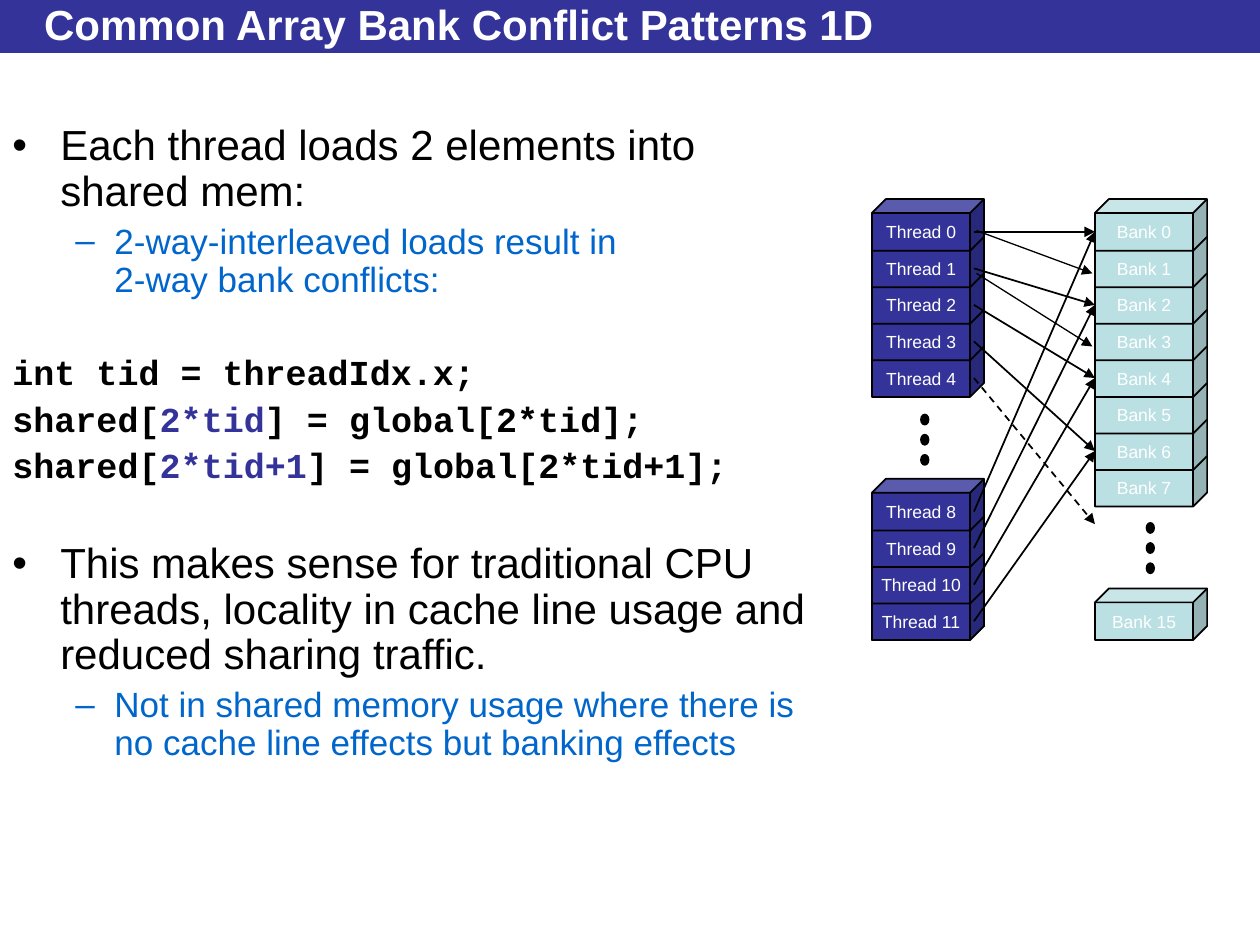
import pptx
import pptx.util
import pptx.dml.color
import pptx.enum.dml
import pptx.enum.shapes
import pptx.enum.text
import pptx.oxml
import pptx.oxml.ns

Inches = pptx.util.Inches
Pt = pptx.util.Pt
Shape = pptx.enum.shapes.MSO_SHAPE
Align = pptx.enum.text.PP_ALIGN
Middle = pptx.enum.text.MSO_ANCHOR.MIDDLE

NAVY, TEAL, BLUE = "333399", "BBE0E3", "0066CC"
BLACK, WHITE = "000000", "FFFFFF"
LEFT, RIGHT, TOP, LOW, STEP = 6.92, 8.69, 1.58, 3.8, 0.29

HEAD = {"size": Pt(24), "name": "Arial", "bold": True}
MAIN = {"size": Pt(24), "name": "Arial", "bold": False}
SUB = {"size": Pt(20), "name": "Arial", "bold": False}
CODE = {"size": Pt(20), "name": "Courier New", "bold": True}
LABEL = {"size": Pt(10), "name": "Arial", "bold": False}


def color(code):
    return pptx.dml.color.RGBColor.from_string(code)


def assign(item, values):
    for key, value in values.items():
        setattr(item, key, value)


def style(font, form, code):
    assign(font, form)
    font.color.rgb = color(code)


def node(tag, **values):
    item = pptx.oxml.parse_xml(f"<a:{tag} {pptx.oxml.ns.nsdecls('a')}/>")
    for key, value in values.items():
        item.set(key, str(value))
    return item


def solid(slide, kind, box, fill, line=None):
    shape = slide.shapes.add_shape(kind, *map(Inches, box))
    shape.shadow.inherit = False
    shape.fill.solid()
    shape.fill.fore_color.rgb = color(fill)
    if line:
        shape.line.color.rgb = color(line)
        shape.line.width = Pt(1)
    else:
        shape.line.fill.background()
    return shape


def cube(slide, left, top, text, fill):
    shape = solid(slide, Shape.CUBE, (left, top, 0.89, 0.41), fill, BLACK)
    shape.adjustments[0] = 0.27
    frame = shape.text_frame
    assign(frame, {"word_wrap": False, "vertical_anchor": Middle})
    para = frame.paragraphs[0]
    para.text = text
    para.alignment = Align.CENTER
    style(para.runs[0].font, LABEL, WHITE)


def stack(slide, left, top, word, first, last, fill):
    for num in range(last, first - 1, -1):
        cube(slide, left, top + STEP * (num - first), f"{word} {num}", fill)


def dots(slide, left, top):
    for num in range(3):
        box = (left, top + 0.16 * num, 0.06, 0.08)
        solid(slide, Shape.OVAL, box, BLACK, BLACK)


def arrow(slide, start, end, width=1, dash=False):
    line = slide.shapes.add_connector(
        pptx.enum.shapes.MSO_CONNECTOR.STRAIGHT, *map(Inches, start + end))
    line.line.color.rgb = color(BLACK)
    line.line.width = Pt(width)
    if dash:
        line.line.dash_style = pptx.enum.dml.MSO_LINE.DASH
    props = line._element.spPr
    props.find(pptx.oxml.ns.qn("a:ln")).append(node("tailEnd", type="triangle"))
    props.append(node("effectLst"))


def link(slide, top, num, bank, dash=False):
    start = (7.73, top + STEP * num + 0.26)
    end = (RIGHT, TOP + STEP * bank + 0.26)
    arrow(slide, start, end, dash=dash)


def bullet(para, mark, code, margin, hang):
    props = para._p.get_or_add_pPr()
    props.set("marL", str(Inches(margin)))
    props.set("indent", str(-Inches(hang)))
    if mark:
        tint = node("buClr")
        tint.append(node("srgbClr", val=code))
        props.append(tint)
        props.append(node("buFont", typeface="Arial"))
        props.append(node("buChar", char=mark))
    else:
        props.append(node("buNone"))


def write(para, parts, form):
    for text, code in parts:
        for num, piece in enumerate(text.split("\n")):
            if num:
                para.add_line_break()
            run = para.add_run()
            run.text = piece
            style(run.font, form, code)


def title(slide, text):
    band = solid(slide, Shape.RECTANGLE, (0, 0, 10, 0.42), NAVY)
    slide.shapes._spTree.insert(2, band._element)
    shape = slide.shapes.title
    assign(shape, {"left": Inches(0.25), "top": Inches(0.05),
                   "width": Inches(9.25), "height": Inches(0.28)})
    shape.text_frame.text = text
    shape.text_frame.vertical_anchor = Middle
    para = shape.text_frame.paragraphs[0]
    para.alignment = Align.LEFT
    style(para.runs[0].font, HEAD, WHITE)


def body(slide):
    point = ("•", 0.38, 0.38, MAIN)
    dash = ("–", 0.81, 0.31, SUB)
    plain = ("", 0.38, 0.38, CODE)
    rows = [
        (point, 0, [("Each thread loads 2 elements into shared mem:", BLACK)]),
        (dash, 5, [("2-way-interleaved loads result in \n2-way bank conflicts:", BLUE)]),
        (plain, 32, [("int tid = threadIdx.x;", BLACK)]),
        (plain, 5, [("shared[", BLACK), ("2*tid", NAVY),
                    ("] = global[2*tid];", BLACK)]),
        (plain, 5, [("shared[", BLACK), ("2*tid+1", NAVY),
                    ("] = global[2*tid+1];", BLACK)]),
        (point, 32, [("This makes sense for traditional CPU threads, locality in "
                      "cache line usage and reduced sharing traffic.", BLACK)]),
        (dash, 5, [("Not in shared memory usage where there is no cache line "
                    "effects but banking effects", BLUE)]),
    ]
    box = slide.shapes.add_textbox(*map(Inches, (0, 0.94, 6.58, 6.56)))
    frame = box.text_frame
    frame.word_wrap = True
    for num, (kind, gap, parts) in enumerate(rows):
        mark, margin, hang, form = kind
        para = frame.add_paragraph() if num else frame.paragraphs[0]
        bullet(para, mark, parts[0][1], margin, hang)
        assign(para, {"line_spacing": 0.9, "space_before": Pt(gap)})
        write(para, parts, form)


def chart(slide):
    stack(slide, LEFT, LOW, "Thread", 8, 11, NAVY)
    stack(slide, LEFT, TOP, "Thread", 0, 4, NAVY)
    dots(slide, 7.31, 3.29)
    for top in (TOP, LOW):
        for num in range(4):
            link(slide, top, num, 2 * num)
    link(slide, TOP, 4, 8, dash=True)
    stack(slide, RIGHT, 4.67, "Bank", 15, 15, TEAL)
    stack(slide, RIGHT, TOP, "Bank", 0, 7, TEAL)
    dots(slide, 9.1, 4.15)
    for start, end in ((1.83, 2.17), (2.17, 2.75)):
        arrow(slide, (7.75, start), (8.67, end), 0.75)


def main():
    deck = pptx.Presentation()
    assign(deck, {"slide_width": Inches(10), "slide_height": Inches(7.5)})
    slide = deck.slides.add_slide(deck.slide_layouts[5])
    title(slide, "Common Array Bank Conflict Patterns 1D")
    body(slide)
    chart(slide)
    deck.save("out.pptx")


if __name__ == "__main__":
    main()
